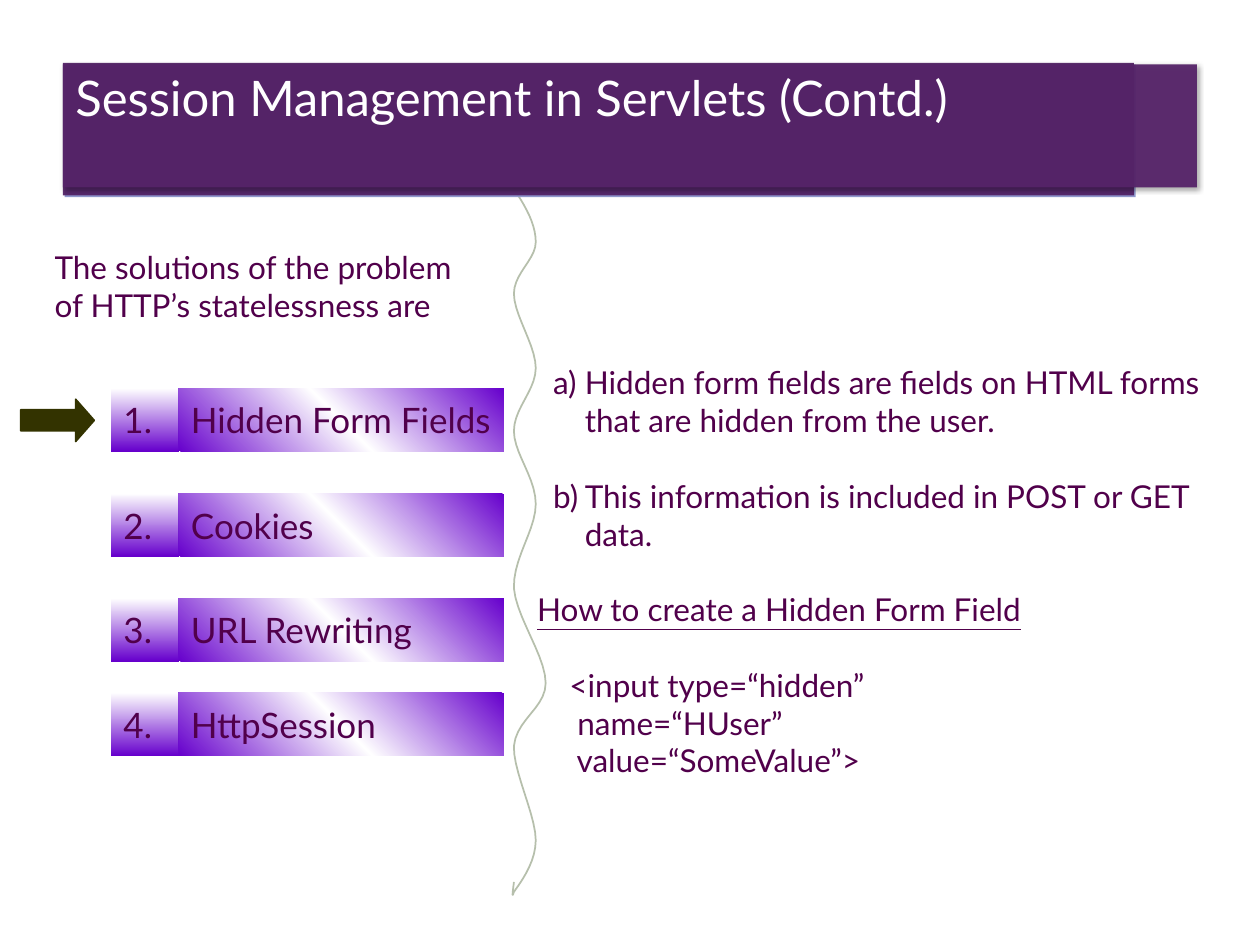
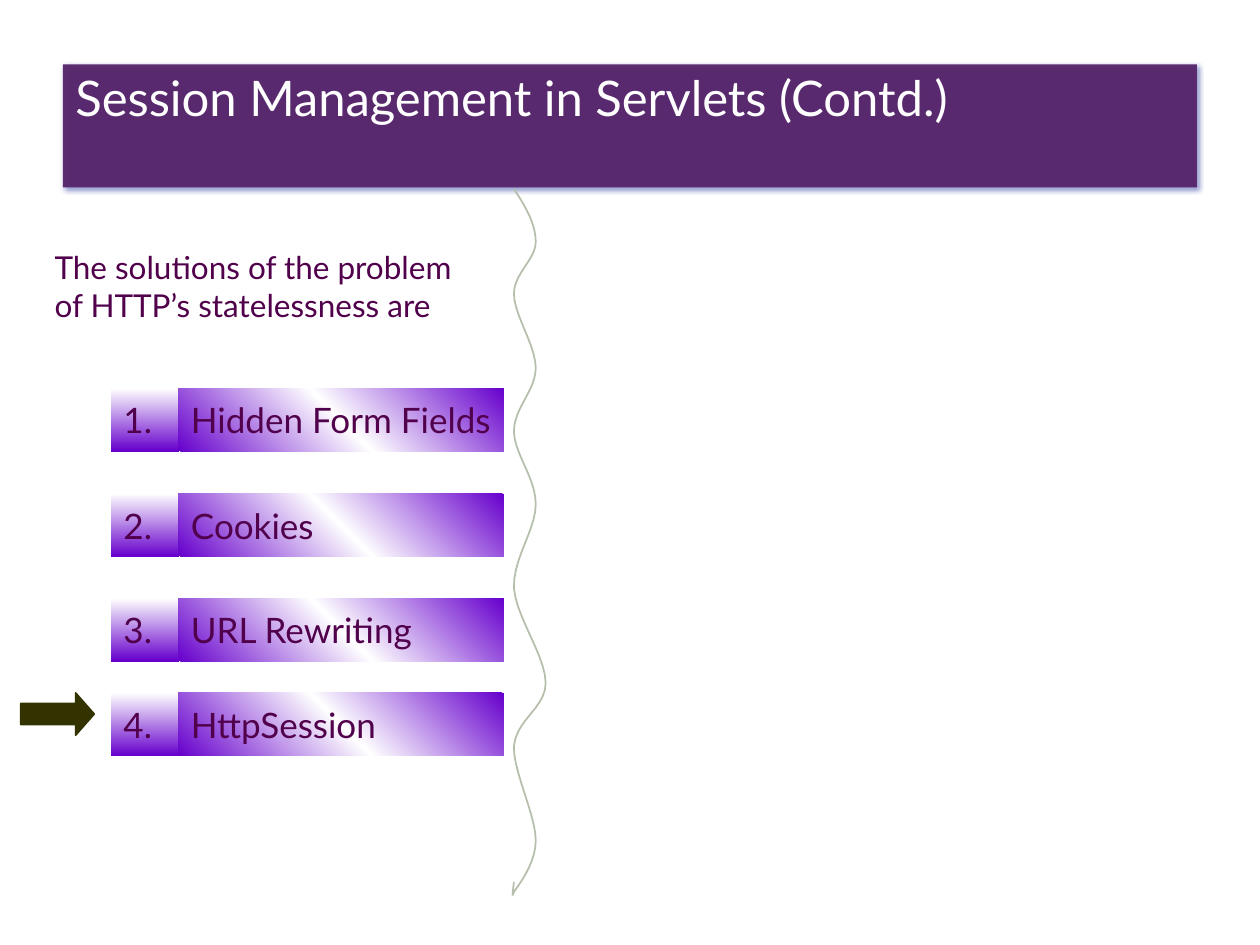
from lxml import etree
from pptx import Presentation, util as u
from pptx.dml import color
from pptx.enum import shapes, text
from pptx.oxml import ns

FONT = "Lato"
INK, WHITE, BAND, VIOLET = "51004B", "FFFFFF", "562469", "6600CC"
OLIVE, SAGE, PERIWINKLE, BLACK = "333300", "B6BFAC", "8A92CA", "000000"
TITLE = "Session Management in Servlets (Contd.)"
INTRO = "The solutions of the problem of HTTP’s statelessness are"
SOLUTIONS = ["Hidden Form Fields", "Cookies", "URL Rewriting", "HttpSession"]
ROW_TOPS = [7.83, 9.95, 12.06, 13.97]
FACTS = ["a)\tHidden form fields are fields on HTML forms that are hidden from the user.",
         "b)\tThis information is included in POST or GET data."]
HEADING = "How to create a Hidden Form Field"
CODE = ["    <input type=“hidden”", "     name=“HUser”", "     value=“SomeValue”>"]
BLANK_LINE = 21.6
WAVE_START = (10.36, 3.81)
WAVE_CURVES = [
    ((10.6, 4.17), (10.8, 4.52), (10.8, 4.88)),
    ((10.8, 5.23), (10.36, 5.51), (10.36, 5.92)),
    ((10.36, 6.35), (10.8, 6.96), (10.8, 7.42)),
    ((10.8, 7.87), (10.36, 8.23), (10.36, 8.69)),
    ((10.36, 9.14), (10.8, 9.63), (10.8, 10.16)),
    ((10.8, 10.69), (10.34, 11.25), (10.36, 11.86)),
    ((10.41, 12.45), (11, 13.23), (11, 13.77)),
    ((11, 14.27), (10.41, 14.5), (10.36, 15.04)),
    ((10.34, 15.54), (10.8, 16.43), (10.8, 16.94)),
    ((10.8, 17.42), (10.44, 17.86), (10.36, 17.98)),
    ((10.31, 18.14), (10.34, 17.96), (10.36, 17.78)),
]


def rgb(code):
    """Turn a hex string into a colour."""
    return color.RGBColor.from_string(code)


def add_color(parent, code, alpha=100):
    """Append a colour element with an opacity in percent."""
    node = etree.SubElement(parent, ns.qn("a:srgbClr"), val=code)
    etree.SubElement(node, ns.qn("a:alpha"), val=str(alpha * 1000))


def add_block(slide, left, top, width, height, fill=None, kind=shapes.MSO_SHAPE.RECTANGLE):
    """Add a preset shape without line or shadow."""
    block = slide.shapes.add_shape(kind, *map(u.Cm, (left, top, width, height)))
    block.shadow.inherit = False
    block.line.fill.background()
    if fill:
        block.fill.solid()
        block.fill.fore_color.rgb = rgb(fill)
    block.text_frame.word_wrap = True
    block.text_frame.vertical_anchor = text.MSO_ANCHOR.TOP
    return block


def set_gradient(block, codes, angle):
    """Fill a block with evenly spaced colours at a counter-clockwise angle."""
    block.fill.gradient()
    block.fill.gradient_angle = angle
    stops = block._element.spPr.find(ns.qn("a:gradFill")).find(ns.qn("a:gsLst"))
    for stop in list(stops):
        stops.remove(stop)
    for index, code in enumerate(codes):
        position = index * 100000 // (len(codes) - 1)
        add_color(etree.SubElement(stops, ns.qn("a:gs"), pos=str(position)), code)


def set_shadow(block, code, alpha, blur):
    """Give a block a shadow towards its lower right."""
    effects = block._element.spPr.find(ns.qn("a:effectLst"))
    shadow = etree.SubElement(effects, ns.qn("a:outerShdw"), blurRad=str(u.Pt(blur)),
                              dist=str(u.Pt(1.4)), dir="2700000", rotWithShape="0")
    add_color(shadow, code, alpha)


def write(block, words, size=18, code=INK, first=False, before=0, underline=False):
    """Write one paragraph and return it."""
    frame = block.text_frame
    paragraph = frame.paragraphs[0] if first else frame.add_paragraph()
    paragraph.alignment = text.PP_ALIGN.LEFT
    if before:
        paragraph.space_before = u.Pt(before)
    run = paragraph.add_run()
    run.text = words
    run.font.name, run.font.size = FONT, u.Pt(size)
    run.font.color.rgb = rgb(code)
    run.font.underline = underline
    return paragraph


def add_band(slide, top, width, height, shadow):
    """Add a nearly opaque band for the title."""
    band = add_block(slide, 1.27, top, width, height, BAND)
    tint = band._element.spPr.find(ns.qn("a:solidFill"))[0]
    etree.SubElement(tint, ns.qn("a:alpha"), val="95000")
    set_shadow(band, *shadow)
    return band


def add_title(slide, shadow):
    """Add the title on its band."""
    band = add_band(slide, 1.3, 22.86, 2.48, shadow)
    band.text_frame.margin_top = 0
    write(band, TITLE, 28, WHITE, first=True).line_spacing = 1.05


def add_tile(slide, left, top, width, words, codes, angle):
    """Add one gradient tile with a label."""
    tile = add_block(slide, left, top, width, 1.27)
    set_gradient(tile, codes, angle)
    tile.text_frame.vertical_anchor = text.MSO_ANCHOR.MIDDLE
    tile.text_frame.margin_right = 0
    write(tile, words, 20, first=True)


def add_solutions(slide):
    """Add the introduction and the numbered solutions."""
    write(add_block(slide, 0.85, 4.87, 9.1, 2.54, WHITE), INTRO, first=True)
    for number, (top, solution) in enumerate(zip(ROW_TOPS, SOLUTIONS), 1):
        add_tile(slide, 2.24, top, 1.37, f"{number}.", [WHITE, VIOLET], 270)
        add_tile(slide, 3.6, top, 6.56, solution, [VIOLET, WHITE, VIOLET], 45)


def add_pointer(slide, top):
    """Add the arrow that marks the current solution."""
    pointer = add_block(slide, 0.42, top, 1.48, 0.85, OLIVE, shapes.MSO_SHAPE.RIGHT_ARROW)
    pointer.adjustments[1] = 0.44
    pointer.line.color.rgb = rgb(OLIVE)
    pointer.line.width = u.Pt(1)


def wave_points(steps=10):
    """Yield points along the chain of cubic curves."""
    start = WAVE_START
    for curve in WAVE_CURVES:
        for step in range(1, steps + 1):
            t = step / steps
            weights = ((1 - t) ** 3, 3 * t * (1 - t) ** 2, 3 * t * t * (1 - t), t ** 3)
            yield tuple(u.Cm(sum(w * p[axis] for w, p in zip(weights, (start, *curve))))
                        for axis in (0, 1))
        start = curve[-1]


def add_wave(slide):
    """Add the wavy divider between the two columns."""
    builder = slide.shapes.build_freeform(*map(u.Cm, WAVE_START))
    builder.add_line_segments(wave_points(), close=False)
    wave = builder.convert_to_shape()
    wave.shadow.inherit = False
    wave.fill.background()
    wave.line.color.rgb = rgb(SAGE)
    wave.line.width = u.Pt(1)


def add_explanation(slide):
    """Add the notes on hidden form fields with their markup."""
    panel = add_block(slide, 10.58, 7.2, 14.18, 10.58, WHITE)
    for index, fact in enumerate(FACTS):
        paragraph = write(panel, fact, first=index == 0, before=BLANK_LINE * index)
        properties = paragraph._p.get_or_add_pPr()
        properties.set("marL", str(u.Cm(0.96)))
        properties.set("indent", str(u.Cm(-0.64)))
    write(panel, HEADING, before=BLANK_LINE, underline=True)
    for index, line in enumerate(CODE):
        write(panel, line, before=0 if index else BLANK_LINE)


def add_slide(deck):
    """Add an empty slide on the blank layout."""
    return deck.slides.add_slide(deck.slide_layouts[6])


def main():
    """Build both slides and save the deck."""
    deck = Presentation()
    deck.slide_width, deck.slide_height = u.Cm(25.4), u.Cm(19.05)

    hidden_fields = add_slide(deck)
    add_explanation(hidden_fields)
    add_pointer(hidden_fields, 8.05)
    add_solutions(hidden_fields)
    add_wave(hidden_fields)
    add_band(hidden_fields, 1.27, 21.59, 2.67, (PERIWINKLE, 100, 0))
    add_title(hidden_fields, (BLACK, 35, 3))

    http_session = add_slide(deck)
    add_title(http_session, (PERIWINKLE, 100, 3))
    add_pointer(http_session, 13.97)
    add_solutions(http_session)
    add_wave(http_session)

    deck.save("out.pptx")


if __name__ == "__main__":
    main()
